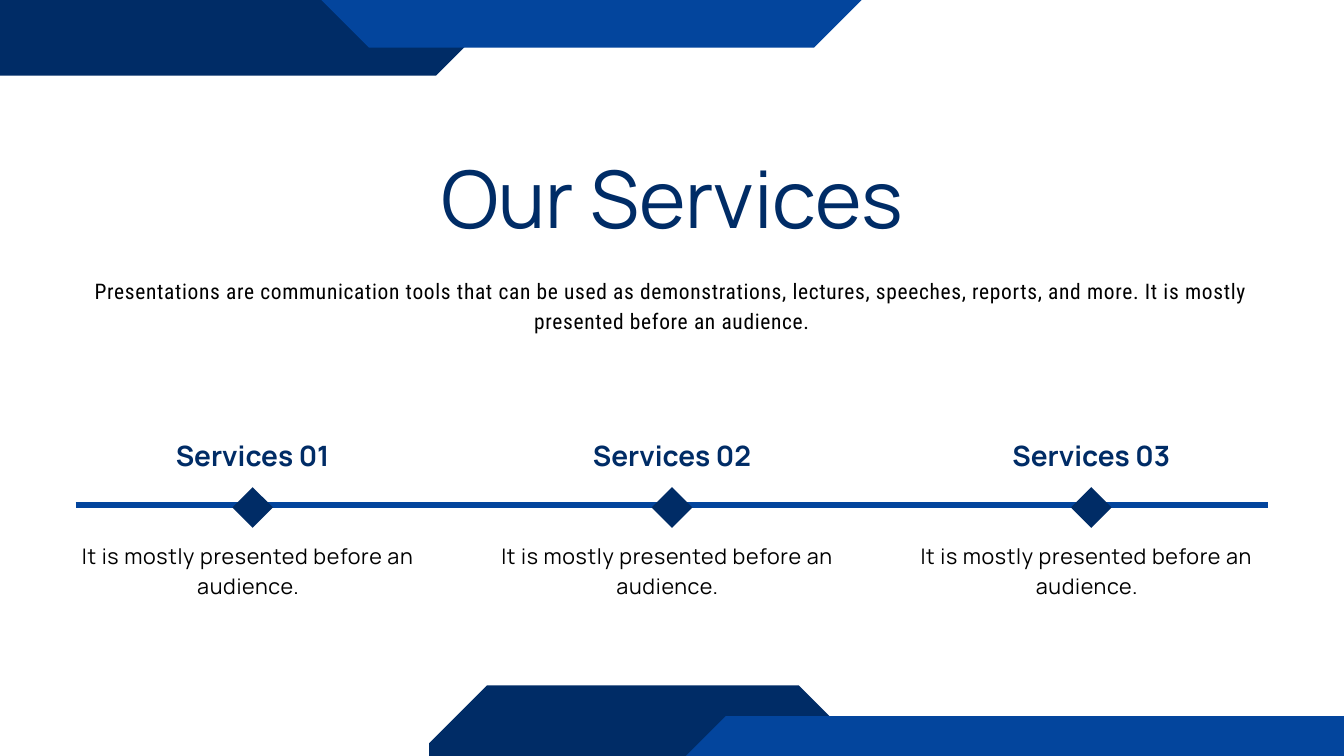
import pptx
import pptx.util
import pptx.dml.color
import pptx.enum.shapes
import pptx.enum.text
import pptx.oxml.ns
import lxml.etree

PX = 9525
NAVY, BLUE, BLACK, WHITE = "002C66", "03459D", "000000", "FFFFFF"
HEADING_FONT, INTRO_FONT = "Manrope", "Roboto Condensed"
SHAPE = pptx.enum.shapes.MSO_SHAPE


def px(*lengths):
    return [pptx.util.Emu(length * PX) for length in lengths]


def color(hex_code):
    return pptx.dml.color.RGBColor.from_string(hex_code)


class ServicesSlide:
    def __init__(self, deck):
        self.slide = deck.slides.add_slide(deck.slide_layouts[6])
        self.shapes = self.slide.shapes
        background = self.slide.background.fill
        background.solid()
        background.fore_color.rgb = color(WHITE)

    def solid(self, preset, box, fill):
        shape = self.shapes.add_shape(preset, *px(*box))
        shape.shadow.inherit = False
        shape.fill.solid()
        shape.fill.fore_color.rgb = color(fill)
        shape.line.fill.background()
        return shape

    def banner(self, box, corner, fill):
        octagon = self.solid(SHAPE.OCTAGON, box, fill)
        octagon.adjustments[0] = corner / min(box[2:])

    def marker(self, center_x, center_y, size):
        box = (center_x - size // 2, center_y - size // 2, size, size)
        self.solid(SHAPE.DIAMOND, box, NAVY)

    def timeline(self, start, end, y, weight):
        line = self.shapes.add_connector(
            pptx.enum.shapes.MSO_CONNECTOR.STRAIGHT, *px(start, y, end, y))
        line.line.color.rgb = color(BLUE)
        line.line.width = pptx.util.Pt(weight)
        properties = line._element.spPr
        lxml.etree.SubElement(properties, pptx.oxml.ns.qn("a:effectLst"))

    def text(self, box, words, size, leading, fill, font=HEADING_FONT,
             bold=False, tracking=0):
        frame = self.shapes.add_textbox(*px(*box)).text_frame
        frame.word_wrap = True
        frame.auto_size = pptx.enum.text.MSO_AUTO_SIZE.SHAPE_TO_FIT_TEXT
        frame.margin_left = frame.margin_right = 0
        frame.margin_top = frame.margin_bottom = 0
        paragraph = frame.paragraphs[0]
        paragraph.alignment = pptx.enum.text.PP_ALIGN.CENTER
        paragraph.line_spacing = pptx.util.Pt(leading)
        run = paragraph.add_run()
        run.text = words
        run.font.name = font
        run.font.size = pptx.util.Pt(size)
        run.font.bold = bold
        run.font.color.rgb = color(fill)
        if tracking:
            run._r.get_or_add_rPr().set("spc", str(tracking))


def main():
    deck = pptx.Presentation()
    deck.slide_width, deck.slide_height = px(1920, 1080)
    services = ServicesSlide(deck)

    services.banner((-112, -135, 834, 243), 99, NAVY)
    services.banner((428, -175, 834, 243), 99, BLUE)

    column_left, marker_x, pitch = 108, 361, 599
    names = ("Services 01", "Services 02", "Services 03")
    services.timeline(108, 1812, 721, 6.75)
    for index in range(len(names)):
        services.marker(marker_x + index * pitch, 725, 58)

    services.text((189, 190, 1543, 160), "Our Services", 85, 119, NAVY)
    services.text(
        (108, 391, 1704, 84),
        "Presentations are communication tools that can be used as "
        "demonstrations, lectures, speeches, reports, and more. It is mostly "
        "presented before an audience.",
        23, 32.2, BLACK, font=INTRO_FONT, tracking=70)
    for index, name in enumerate(names):
        left = column_left + index * pitch
        services.text((left, 619, 506, 55), name, 30, 42, NAVY, bold=True)
        services.text((left, 769, 493, 84),
                      "It is mostly presented before an audience.",
                      23, 32.2, BLACK, tracking=70)

    services.banner((613, 979, 611, 328), 83, NAVY)
    services.banner((954, 1023, 1078, 302), 83, BLUE)
    deck.save("out.pptx")


if __name__ == "__main__":
    main()
